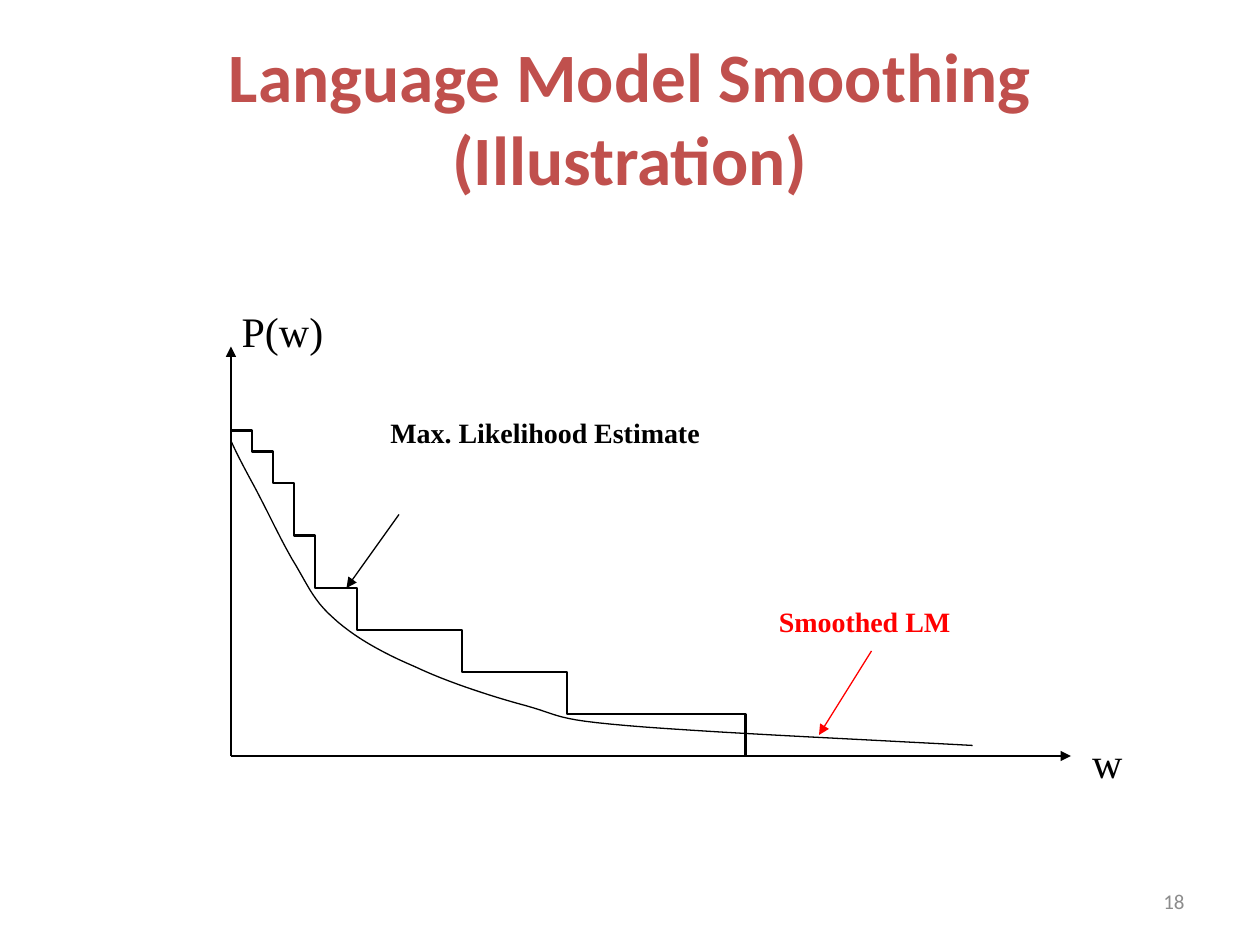
"""Build the slide on language model smoothing."""
from lxml.etree import SubElement
from pptx import Presentation
from pptx.dml.color import RGBColor
from pptx.enum.shapes import MSO_CONNECTOR as Conn
from pptx.enum.text import MSO_ANCHOR as Anchor, PP_ALIGN as Align
from pptx.oxml.ns import qn
from pptx.util import Pt

BLACK = RGBColor(0, 0, 0)
RED = RGBColor(255, 0, 0)
BRICK = RGBColor(0xC0, 0x50, 0x4D)
GREY = RGBColor(0x8C, 0x8C, 0x8C)
SANS, SERIF = "Calibri", "Times New Roman"
LEFT, MID, RIGHT = Align.LEFT, Align.CENTER, Align.RIGHT
TOP, HALF = Anchor.TOP, Anchor.MIDDLE

TEXTS = [
    ("Language Model Smoothing (Illustration)", (36, 21.6, 648, 90), SANS, 39.6, BRICK, True, MID, HALF),
    ("18", (516, 500.5, 168, 28.75), SANS, 12, GREY, False, RIGHT, HALF),
    ("P(w)", (131, 171.3, 61.2, 36), SERIF, 24, BLACK, False, LEFT, TOP),
    ("w", (617, 417.6, 31.7, 36), SERIF, 24, BLACK, False, LEFT, TOP),
    ("Max. Likelihood Estimate", (216, 234, 192, 26.6), SERIF, 16, BLACK, True, LEFT, TOP),
    ("Smoothed LM", (438, 342, 150, 26.6), SERIF, 16, RED, True, LEFT, TOP),
]
X0, Y0, DROP = 132, 432, 426
LINES = [
    ((X0, Y0), (612, Y0), BLACK, 0.75, True),
    ((X0, Y0), (X0, 198), BLACK, 0.75, True),
    ((DROP, Y0), (570, Y0), BLACK, 1.5, False),
    ((228, 294), (198, 336), BLACK, 0.75, True),
    ((498, 372), (468, 420), RED, 0.75, True),
]
STEPS = [(144, 246), (156, 258), (168, 276), (180, 306), (204, 336),
         (264, 360), (324, 384), (DROP, 408)]
START = (X0, 252)
BENDS = [
    ((134.6, 257.8), (137.5, 263.5), (143.3, 274.3)),
    ((149.8, 285.8), (159.1, 306), (167, 319.7)),
    ((175, 332.6), (178.6, 342.7), (190.1, 352.8)),
    ((201.6, 363.6), (218.2, 373), (236.9, 380.9)),
    ((254.9, 389.5), (280.1, 397.8), (300.2, 403.2)),
    ((321.1, 409), (316.1, 411.1), (358.6, 414.7)),
    ((401, 418.3), (478.8, 421.9), (555.8, 426)),
]
CUTS = 12


def bend(a, b, c, d):
    for i in range(1, CUTS + 1):
        t = i / CUTS
        u = 1 - t
        yield tuple(u**3 * p + 3 * u * u * t * q + 3 * u * t * t * r + t**3 * s
                    for p, q, r, s in zip(a, b, c, d))


def trace(shapes, first, rest, width):
    pen = shapes.build_freeform(Pt(first[0]), Pt(first[1]))
    pen.add_line_segments([(Pt(x), Pt(y)) for x, y in rest], close=False)
    shape = pen.convert_to_shape()
    shape.shadow.inherit = False
    shape.fill.background()
    shape.line.color.rgb = BLACK
    shape.line.width = Pt(width)


def write(shapes, text, box, face, size, color, bold, align, anchor):
    frame = shapes.add_textbox(*map(Pt, box)).text_frame
    frame.word_wrap = True
    frame.vertical_anchor = anchor
    para = frame.paragraphs[0]
    para.text = text
    para.alignment = align
    font = para.font
    font.name, font.size, font.bold = face, Pt(size), bold
    font.color.rgb = color


def rule(shapes, start, end, color, width, arrow):
    line = shapes.add_connector(Conn.STRAIGHT, *map(Pt, start + end))
    line.line.color.rgb = color
    line.line.width = Pt(width)
    if arrow:
        SubElement(line.line._get_or_add_ln(), qn("a:tailEnd"), type="triangle")
    SubElement(line._element.spPr, qn("a:effectLst"))


def main():
    deck = Presentation()
    deck.slide_width, deck.slide_height = Pt(720), Pt(540)
    shapes = deck.slides.add_slide(deck.slide_layouts[6]).shapes

    curve, last = [], START
    for knots in BENDS:
        curve.extend(bend(last, *knots))
        last = knots[-1]
    trace(shapes, START, curve, 0.75)

    stairs, left = [], X0
    for right, y in STEPS:
        stairs += [(left, y), (right, y)]
        left = right
    stairs.append((DROP, Y0))
    trace(shapes, stairs[0], stairs[1:], 1.5)

    for item in LINES:
        rule(shapes, *item)
    for item in TEXTS:
        write(shapes, *item)
    deck.save("out.pptx")


if __name__ == "__main__":
    main()
